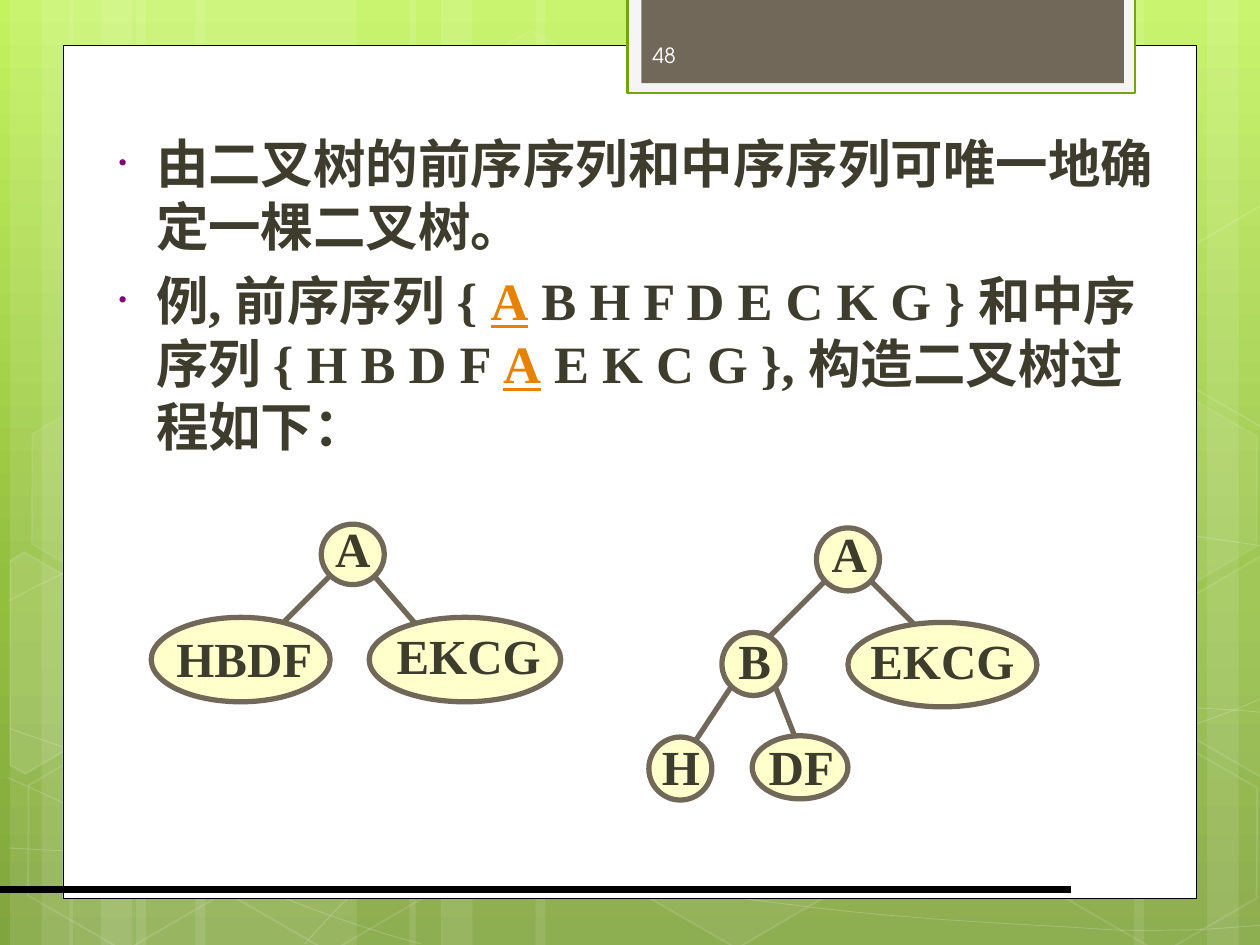
from copy import deepcopy
from math import cos, radians, sin

from lxml.etree import SubElement
from pptx import Presentation
from pptx.dml.color import RGBColor
from pptx.enum.shapes import MSO_CONNECTOR, MSO_SHAPE
from pptx.enum.text import MSO_ANCHOR, PP_ALIGN
from pptx.oxml.ns import qn
from pptx.util import Inches, Pt

WHITE = RGBColor(0xFF, 0xFF, 0xFF)
BLACK = RGBColor(0, 0, 0)
TAUPE = RGBColor(0x71, 0x68, 0x5A)
CREAM = RGBColor(0xFF, 0xFF, 0xCC)
INK = RGBColor(0x3E, 0x3D, 0x2D)
ORANGE = RGBColor(0xE6, 0x82, 0x00)
GREEN = RGBColor(0x74, 0xA5, 0x10)
PALE = RGBColor(0xF5, 0xF5, 0xF5)
NUMBER = RGBColor(0xFE, 0xFE, 0xFE)
SKY = [(0, RGBColor(0xC3, 0xF3, 0x5F)), (0.62, RGBColor(0x93, 0xBF, 0x3F)),
       (1, RGBColor(0x81, 0xA5, 0x3E))]
SERIF = "Times New Roman"

# left, width, rotation
BANDS = [(1.08, 1.75, 0), (0.08, 0.5, 0), (0.33, 0.83, 0), (1.55, 1.75, 0),
         (0.55, 0.5, 0), (0.8, 0.83, 0), (7.33, 1.75, 180), (9.58, 0.5, 180),
         (9, 0.83, 180), (4.25, 3.08, 0), (3.25, 0.5, 0), (3.5, 0.83, 0)]
# start point, then two control points and an end point for each segment
WAVES = [
    [(0.07, 6.73), (0.61, 6.76), (1.15, 6.79), (1.9, 6.78), (2.65, 6.77), (3.58, 6.75),
     (4.58, 6.65), (5.58, 6.55), (7, 6.36), (7.92, 6.17), (8.83, 5.98), (9.77, 5.68),
     (10.07, 5.51)],
    [(0.07, 4.77), (0.36, 4.61), (0.65, 4.46), (1.21, 4.31), (1.78, 4.16), (2.59, 3.94),
     (3.47, 3.87), (4.36, 3.8), (5.44, 3.79), (6.54, 3.87), (7.64, 3.95), (9.47, 4.26),
     (10.07, 4.34)],
    [(0.06, 6.17), (1.27, 6.72), (2.47, 7.27), (3.34, 7.49)],
    [(0.07, 5.78), (0.38, 5.89), (0.7, 6), (1.28, 6.16), (1.86, 6.31), (2.73, 6.56),
     (3.57, 6.73), (4.4, 6.9), (5.45, 7.08), (6.28, 7.18), (7.11, 7.29), (8, 7.33),
     (8.53, 7.36), (9.05, 7.4), (9.19, 7.38), (9.45, 7.38), (9.71, 7.37), (9.89, 7.35),
     (10.07, 7.34)],
    [(2.42, 7.49), (2.6, 7.29), (2.78, 7.09), (3.02, 6.91), (3.26, 6.73), (3.6, 6.53),
     (3.88, 6.39), (4.16, 6.25), (4.33, 6.19), (4.7, 6.09), (5.06, 5.99), (5.73, 5.85),
     (6.08, 5.78), (6.44, 5.71), (6.49, 5.71), (6.8, 5.69), (7.11, 5.66), (7.6, 5.63),
     (7.94, 5.62), (8.29, 5.61), (8.86, 5.62), (8.86, 5.62), (8.86, 5.62), (9.53, 5.62),
     (9.53, 5.62), (9.71, 5.63), (9.88, 5.64), (9.97, 5.65), (10.06, 5.66), (10.03, 5.65),
     (10.06, 5.66)],
]
# left, top, fill opacity, line opacity
HEXAGONS = [(3.34, 0.36, 4, 8), (4.97, 5.89, 6, 12), (0.11, 5.91, 0, 12),
            (0.14, 3.12, 7, 8), (1.74, 5.92, 0, 12), (7.53, 4.53, 10, 12),
            (8.34, 5.93, 0, 12), (8.34, 3.14, 7, 8)]
RIGHT_CUT = [(9.26, 4.85), (10.01, 4.41), (10.09, 4.46), (10.09, 6.13),
             (10.02, 6.17), (9.26, 5.73)]
# points, centre, fill opacity
CUT_HEXAGONS = [
    ([(0.08, 4.45), (0.19, 4.38), (0.96, 4.82), (0.95, 5.7), (0.2, 6.14), (0.08, 6.07)],
     (0.36, 5.35), 10),
    (RIGHT_CUT, (9.85, 5.2), 4),
    ([(x, y - 2.78) for x, y in RIGHT_CUT], (9.85, 2.42), 0),
]

# edges: from, to; nodes: left, top, width, height, label, label centre (within the box)
FIRST_TREE = dict(
    edges=[(1.76, 0.5, 2.2, 1.01), (1.43, 0.5, 0.93, 1)],
    nodes=[(1.35, 0.1, 0.5, 0.48, "A", 1.6, 0.29), (0, 0.84, 1.42, 0.67, "HBDF", 0.74, 1.17),
           (1.73, 0.84, 1.52, 0.67, "EKCG", 2.52, 1.14)])
SECOND_TREE = dict(
    edges=[(1, 1.34, 1.16, 1.75), (0.66, 1.34, 0.33, 1.84), (1.41, 0.5, 0.91, 1),
           (1.75, 0.5, 2.25, 1)],
    nodes=[(1.33, 0.09, 0.5, 0.5, "A", 1.59, 0.29), (1.58, 0.84, 1.5, 0.67, "EKCG", 2.33, 1.14),
           (0.58, 0.92, 0.5, 0.5, "B", 0.84, 1.14), (0, 1.75, 0.5, 0.5, "H", 0.25, 1.98),
           (0.82, 1.74, 0.76, 0.5, "DF", 1.21, 1.98)])


def paint(part, color, opacity=100):
    """Colour a fill or a line; zero opacity means none."""
    fill = getattr(part, "fill", part)
    if not opacity:
        fill.background()
        return
    fill.solid()
    fill.fore_color.rgb = color
    if opacity < 100:
        clr = fill._xPr.find(".//" + qn("a:srgbClr"))
        SubElement(clr, qn("a:alpha")).set("val", str(opacity * 1000))


def finish(sp, fill, fill_opacity, line=None, width=0, line_opacity=100):
    sp.shadow.inherit = False
    paint(sp.fill, fill, fill_opacity)
    paint(sp.line, line, line_opacity if line is not None else 0)
    if line is not None:
        sp.line.width = Pt(width)


def add_preset(shapes, kind, left, top, width, height):
    return shapes.add_shape(kind, Inches(left), Inches(top), Inches(width), Inches(height))


def add_path(shapes, points, close):
    pts = [(Inches(x), Inches(y)) for x, y in points]
    fb = shapes.build_freeform(*pts[0])
    fb.add_line_segments(pts[1:], close=close)
    return fb.convert_to_shape()


def add_curve(shapes, points):
    """Turn each three line segments of an open path into one Bezier segment."""
    sp = add_path(shapes, points, False)
    lines = sp._element.findall(".//" + qn("a:lnTo"))
    path = lines[0].getparent()
    for i in range(0, len(lines), 3):
        bezier = SubElement(path, qn("a:cubicBezTo"))
        for line in lines[i:i + 3]:
            bezier.append(line[0])
            path.remove(line)
    return sp


def turn_back(points, centre, degrees):
    """Undo a clockwise rotation of the points about a centre."""
    c, s = cos(radians(degrees)), sin(radians(degrees))
    cx, cy = centre
    return [(cx + (x - cx) * c + (y - cy) * s, cy - (x - cx) * s + (y - cy) * c)
            for x, y in points]


def add_line(shapes, x1, y1, x2, y2, color, width):
    cxn = shapes.add_connector(MSO_CONNECTOR.STRAIGHT, Inches(x1), Inches(y1),
                               Inches(x2), Inches(y2))
    paint(cxn.line, color)
    cxn.line.width = Pt(width)
    SubElement(cxn._element.spPr, qn("a:effectLst"))


def style(r, name, size, color, bold=False):
    r.font.name, r.font.size, r.font.bold = name, Pt(size), bold
    r.font.color.rgb = color


def add_backdrop(slide):
    fill = slide.background.fill
    fill.gradient()
    fill.gradient_angle = 270
    stops = slide._element.find(".//" + qn("a:gsLst"))
    stops.insert(1, deepcopy(stops[0]))
    for stop, (position, color) in zip(fill.gradient_stops, SKY):
        stop.position, stop.color.rgb = position, color

    shapes = slide.shapes.add_group_shape().shapes
    for left, width, rotation in BANDS:
        sp = add_preset(shapes, MSO_SHAPE.RECTANGLE, left, 0, width, 7.5)
        sp.rotation = rotation
        finish(sp, WHITE, 10)
    for wave in WAVES:
        finish(add_curve(shapes, wave), WHITE, 0, WHITE, 0.5, 20)
    for left, top, fill_opacity, line_opacity in HEXAGONS:
        sp = add_preset(shapes, MSO_SHAPE.HEXAGON, left, top, 1.75, 1.52)
        sp.adjustments[0], sp.rotation = 0.285, 30
        finish(sp, WHITE, fill_opacity, WHITE, 1, line_opacity)
    for points, centre, opacity in CUT_HEXAGONS:
        sp = add_path(shapes, turn_back(points, centre, 30), True)
        sp.rotation = 30
        finish(sp, WHITE, opacity, WHITE, 1, 12)


def add_frame(slide, number):
    shapes = slide.shapes
    for box, fill, line, width in [((0.5, 0.36, 9, 6.77), WHITE, BLACK, 0.5),
                                   ((4.98, -0.02, 4.03, 0.76), PALE, GREEN, 1.25),
                                   ((5.09, -0.02, 3.83, 0.68), TAUPE, None, 0)]:
        finish(add_preset(shapes, MSO_SHAPE.RECTANGLE, *box), fill, 100, line, width)
    add_line(shapes, 0, 7.06, 8.5, 7.06, BLACK, 4.5)
    tf = shapes.add_textbox(Inches(5.08), Inches(0.24), Inches(1.46), Inches(0.4)).text_frame
    tf.word_wrap, tf.vertical_anchor = True, MSO_ANCHOR.MIDDLE
    tf.text = number
    style(tf.paragraphs[0].runs[0], "TeX Gyre Adventor", 12, NUMBER)


def add_bullet(p):
    pPr = p._p.get_or_add_pPr()
    pPr.set("marL", str(Inches(0.38)))
    pPr.set("indent", str(Inches(-0.3)))
    SubElement(SubElement(pPr, qn("a:buClr")), qn("a:srgbClr")).set("val", "800080")
    SubElement(pPr, qn("a:buSzPct")).set("val", "50000")
    SubElement(pPr, qn("a:buFont")).set("typeface", SERIF)
    SubElement(pPr, qn("a:buChar")).set("char", "•")


def add_body(slide, left, top, width, height, paragraphs):
    """Bulleted text; every second part of a paragraph is highlighted."""
    tf = slide.shapes.add_textbox(Inches(left), Inches(top), Inches(width),
                                  Inches(height)).text_frame
    tf.word_wrap = True
    for i, parts in enumerate(paragraphs):
        p = tf.add_paragraph() if i else tf.paragraphs[0]
        add_bullet(p)
        if i:
            p.space_before = Pt(6.5)
        for j, text in enumerate(parts):
            r = p.add_run()
            r.text = text
            style(r, SERIF, 30, ORANGE if j % 2 else INK, bold=True)
            r.font.underline = bool(j % 2)


def add_tree(slide, left, top, edges, nodes):
    shapes = slide.shapes.add_group_shape().shapes
    for x1, y1, x2, y2 in edges:
        add_line(shapes, left + x1, top + y1, left + x2, top + y2, TAUPE, 3)
    for x, y, width, height, label, cx, cy in nodes:
        sp = add_preset(shapes, MSO_SHAPE.OVAL, left + x, top + y, width, height)
        finish(sp, CREAM, 100, TAUPE, 3)
        w = 0.2 + 0.29 * len(label)
        tf = shapes.add_textbox(Inches(left + cx - w / 2), Inches(top + cy - 0.29),
                                Inches(w), Inches(0.57)).text_frame
        tf.word_wrap, tf.vertical_anchor = False, MSO_ANCHOR.MIDDLE
        tf.text = label
        tf.paragraphs[0].alignment = PP_ALIGN.CENTER
        style(tf.paragraphs[0].runs[0], SERIF, 28, INK, bold=True)


prs = Presentation()
prs.slide_width, prs.slide_height = Inches(10), Inches(7.5)
slide = prs.slides.add_slide(prs.slide_layouts[6])
add_backdrop(slide)
add_frame(slide, "48")
add_body(slide, 0.76, 0.99, 8.61, 2.88, [
    ["由二叉树的前序序列和中序序列可唯一地确定一棵二叉树。"],
    ["例, 前序序列 { ", "A", " B H F D E C K G } 和中序序列 { H B D F ", "A",
     " E K C G }, 构造二叉树过程如下："]])
add_tree(slide, 1.2, 4.06, **FIRST_TREE)
add_tree(slide, 5.15, 4.1, **SECOND_TREE)
prs.save("out.pptx")
